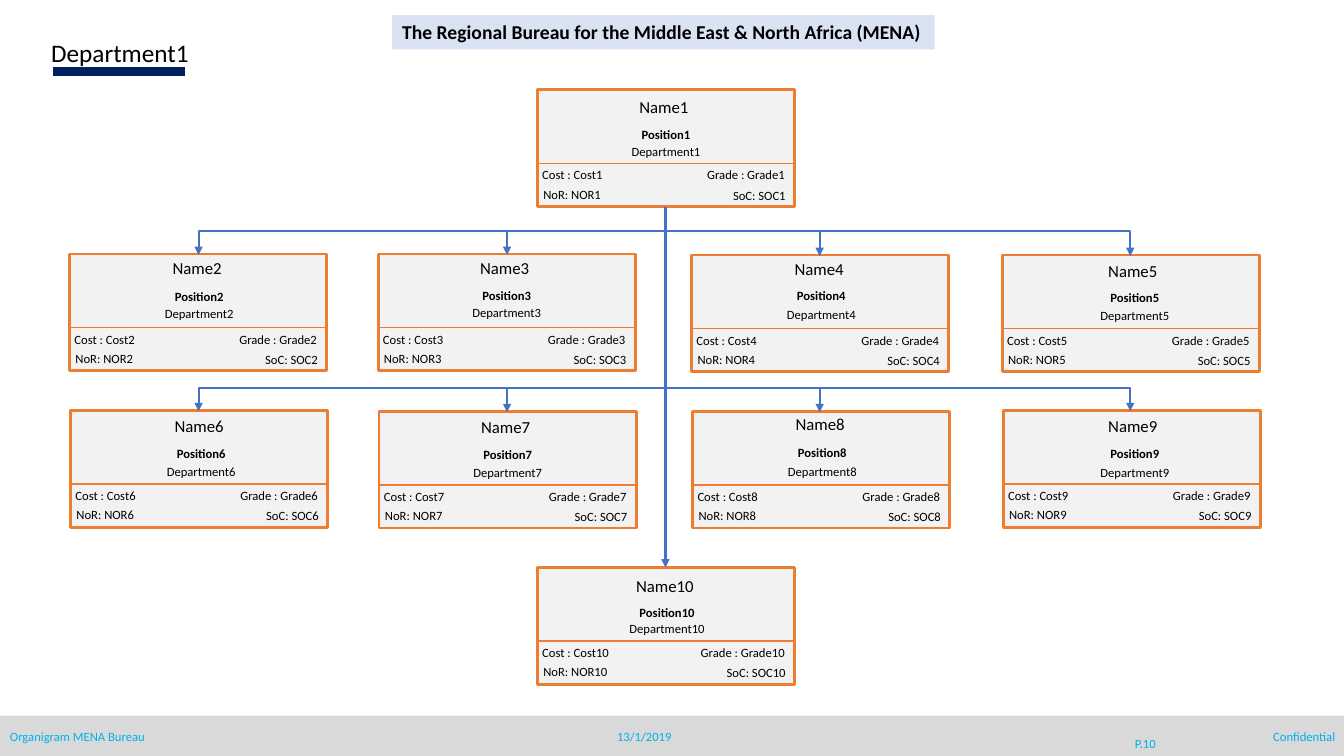
"""Builds the organigram slide of the MENA bureau."""
from pptx import Presentation
from pptx.dml.color import RGBColor
from pptx.enum.shapes import MSO_CONNECTOR, MSO_SHAPE
from pptx.enum.text import MSO_ANCHOR, MSO_AUTO_SIZE, PP_ALIGN
from pptx.oxml.ns import qn
from pptx.util import Inches, Pt
from lxml.etree import SubElement

FONT = "Calibri"
BLACK, ORANGE, BLUE, CYAN = "000000", "ED7D31", "4472C4", "00B0F0"
LEFT, CENTER, RIGHT = PP_ALIGN.LEFT, PP_ALIGN.CENTER, PP_ALIGN.RIGHT
TOP, MIDDLE = MSO_ANCHOR.TOP, MSO_ANCHOR.MIDDLE
CARD_W, CARD_H, TRUNK_X = 2.55, 1.16, 6.6

TITLE = "The Regional Bureau for the Middle East & North Africa (MENA)"
FOOTER = [
    ("Organigram MENA Bureau", 0, 3.08, 0.25, LEFT, TOP),
    ("Confidential", 10.26, 3.08, 0.25, RIGHT, TOP),
    ("P.10", 10.96, 0.8, 0.4, CENTER, MIDDLE),
    ("13/1/2019", 5.95, 0.88, 0.25, CENTER, MIDDLE),
]
# left, top, heading shift, then drop of name, position and department
CARDS = [
    (5.33, 0.89, 0, 0.02, 0.32, 0.49),
    (0.69, 2.52, 0.01, -0.01, 0.30, 0.47),
    (3.75, 2.52, 0, -0.01, 0.29, 0.46),
    (6.86, 2.53, 0.01, -0.01, 0.28, 0.47),
    (9.94, 2.53, 0.04, 0.01, 0.30, 0.48),
    (0.70, 4.07, 0.02, 0, 0.30, 0.48),
    (3.76, 4.08, 0, 0, 0.30, 0.48),
    (6.87, 4.08, 0.01, -0.02, 0.28, 0.47),
    (9.95, 4.07, 0.03, 0, 0.30, 0.49),
    (5.33, 5.63, 0.01, 0.03, 0.32, 0.48),
]
DETAILS = [
    ("Cost : Cost{}", -0.05, 0.72, 1.23, LEFT),
    ("Grade : Grade{}", 1.33, 0.72, 1.22, RIGHT),
    ("NoR: NOR{}", -0.04, 0.91, 0.93, LEFT),
    ("SoC: SOC{}", 1.54, 0.92, 1.02, RIGHT),
]
ARM_TIPS = [1.97, 5.03, 8.13, 11.21]
ARM_ROWS = [(2.29, CARDS[1:5]), (3.85, CARDS[5:9])]

prs = Presentation()
prs.slide_width, prs.slide_height = Inches(13.33), Inches(7.5)
s = prs.slides.add_slide(prs.slide_layouts[6])


def rgb(color):
    return RGBColor.from_string(color)


def write(sp, text, size, color=BLACK, align=LEFT, bold=False, anchor=TOP, wrap=True):
    tf = sp.text_frame
    tf.word_wrap = wrap
    tf.auto_size = MSO_AUTO_SIZE.SHAPE_TO_FIT_TEXT
    tf.vertical_anchor = anchor
    p = tf.paragraphs[0]
    p.text, p.alignment = text, align
    p.font.name, p.font.size, p.font.bold = FONT, Pt(size), bold
    p.font.color.rgb = rgb(color)


def label(text, x, y, w, h, size=9, **style):
    write(s.shapes.add_textbox(Inches(x), Inches(y), Inches(w), Inches(h)), text, size, **style)


def box(x, y, w, h, fill, line=None):
    sp = s.shapes.add_shape(MSO_SHAPE.RECTANGLE, Inches(x), Inches(y), Inches(w), Inches(h))
    sp.shadow.inherit = False
    sp.fill.solid()
    sp.fill.fore_color.rgb = rgb(fill)
    if line:
        sp.line.color.rgb = rgb(line)
        sp.line.width = Pt(2)
    else:
        sp.line.fill.background()
    return sp


def line(x1, y1, x2, y2, color, width, arrow=False):
    bent = x1 != x2 and y1 != y2
    kind = MSO_CONNECTOR.ELBOW if bent else MSO_CONNECTOR.STRAIGHT
    cx = s.shapes.add_connector(kind, Inches(x1), Inches(y1), Inches(x2), Inches(y2))
    cx.line.color.rgb = rgb(color)
    cx.line.width = Pt(width)
    pr = cx._element.spPr
    if bent:
        pr.find(qn("a:prstGeom")).set("prst", "bentConnector2")
    if arrow:
        SubElement(pr.find(qn("a:ln")), qn("a:tailEnd"), type="triangle")
    SubElement(pr, qn("a:effectLst"))


def card(number, x, y, shift, name_dy, position_dy, department_dy):
    box(x, y, CARD_W, CARD_H, "F2F2F2", ORANGE)
    line(x, y + 0.73, x + CARD_W, y + 0.73, ORANGE, 1)
    label(f"Name{number}", x + shift - 0.02, y + name_dy, CARD_W, 0.31, 12, align=CENTER)
    label(f"Position{number}", x + shift, y + position_dy, CARD_W, 0.25, align=CENTER, bold=True)
    label(f"Department{number}", x + shift, y + department_dy, CARD_W, 0.25, align=CENTER)
    for text, dx, dy, w, align in DETAILS:
        label(text.format(number), x + dx, y + dy, w, 0.25, align=align)


line(0.53, 0.71, 1.84, 0.71, "002060", 7)
box(0, 7.1, 13.33, 0.41, "D9D9D9")
for text, x, w, h, align, anchor in FOOTER:
    label(text, x, 7.18, w, h, color=CYAN, align=align, anchor=anchor)
label("Department1", 0.41, 0.32, 5.3, 0.41, 18)
write(box(3.89, 0.15, 5.38, 0.34, "DAE3F3"), TITLE, 14, bold=True, wrap=False)

for number, place in enumerate(CARDS, 1):
    card(number, *place)
line(TRUNK_X, CARDS[0][1] + CARD_H, TRUNK_X, CARDS[-1][1], BLUE, 1.5, arrow=True)
for arm_y, row in ARM_ROWS:
    for tip_x, place in zip(ARM_TIPS, row):
        line(TRUNK_X, arm_y, tip_x, place[1] + 0.01, BLUE, 1.5, arrow=True)

prs.save("out.pptx")
